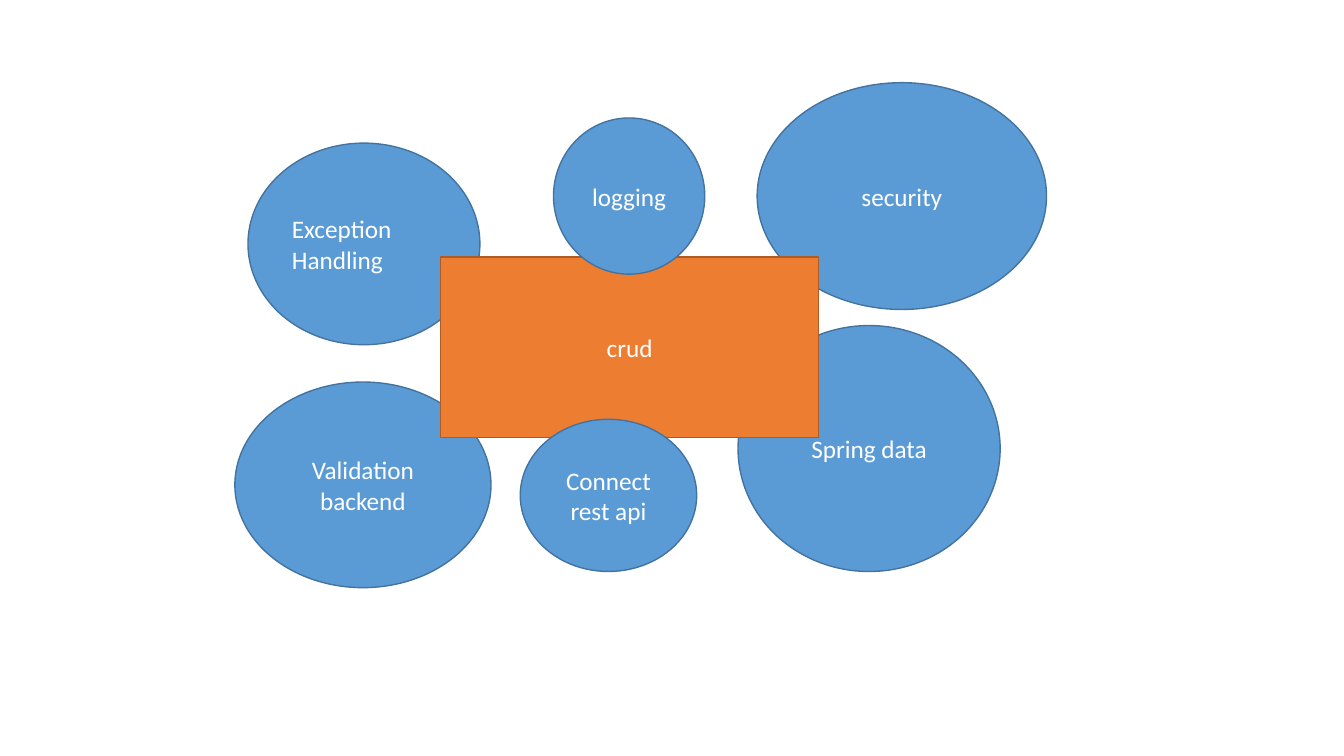
from pptx import Presentation
from pptx.dml.color import RGBColor
from pptx.enum.shapes import MSO_SHAPE as Shape
from pptx.enum.text import MSO_ANCHOR as Anchor, PP_ALIGN as Align
from pptx.util import Inches, Pt

COLORS = {
    "concern": "5B9BD5",
    "concern_edge": "43739E",
    "core": "ED7D31",
    "core_edge": "AF5C24",
    "label": "FFFFFF",
}
BLANK_LAYOUT = 6

# Label, offset from the diagram's corner, size, alignment; listed back to front
CONCERNS_BEHIND = [
    ("security", 5.18, 0, 2.87, 2.25, Align.CENTER),
    ("Exception Handling", 0.13, 0.6, 2.3, 2, Align.LEFT),
    ("Validation\nbackend", 0, 2.97, 2.54, 2.04, Align.CENTER),
    ("Spring data", 4.99, 2.41, 2.6, 2.44, Align.CENTER),
]
CORE = ("crud", 2.04, 1.73, 3.75, 1.79, Align.CENTER)
CONCERNS_IN_FRONT = [
    ("logging", 3.16, 0.35, 1.5, 1.55, Align.CENTER),
    ("Connect rest api", 2.83, 3.34, 1.75, 1.51, Align.CENTER),
]


def color(name):
    """Return the named colour."""
    return RGBColor.from_string(COLORS[name])


def write_label(frame, text, *, align=Align.CENTER, size=18, font="Calibri", ink="label"):
    """Write text into a frame, one paragraph per line, with the given format."""
    frame.word_wrap = True
    frame.vertical_anchor = Anchor.MIDDLE
    frame.text = text
    for line in frame.paragraphs:
        line.alignment = align
        line.font.size = Pt(size)
        line.font.name = font
        line.font.color.rgb = color(ink)


def add_part(slide, left, top, part, outline, role):
    """Add one labelled part at its offset from the diagram's corner."""
    text, dx, dy, width, height, align = part
    area = slide.shapes.add_shape(
        outline, Inches(left + dx), Inches(top + dy), Inches(width), Inches(height))
    area.shadow.inherit = False
    area.fill.solid()
    area.fill.fore_color.rgb = color(role)
    area.line.color.rgb = color(f"{role}_edge")
    area.line.width = Pt(1)
    write_label(area.text_frame, text, align=align)


def add_crud_diagram(slide, left, top):
    """Place the crud core among the concerns that surround it."""
    for concern in CONCERNS_BEHIND:
        add_part(slide, left, top, concern, Shape.OVAL, "concern")
    add_part(slide, left, top, CORE, Shape.RECTANGLE, "core")
    for concern in CONCERNS_IN_FRONT:
        add_part(slide, left, top, concern, Shape.OVAL, "concern")


def main():
    """Build and save the presentation."""
    deck = Presentation()
    deck.slide_width, deck.slide_height = Inches(13.33), Inches(7.5)
    slide = deck.slides.add_slide(deck.slide_layouts[BLANK_LAYOUT])
    add_crud_diagram(slide, 2.33, 0.82)
    deck.save("out.pptx")


main()
